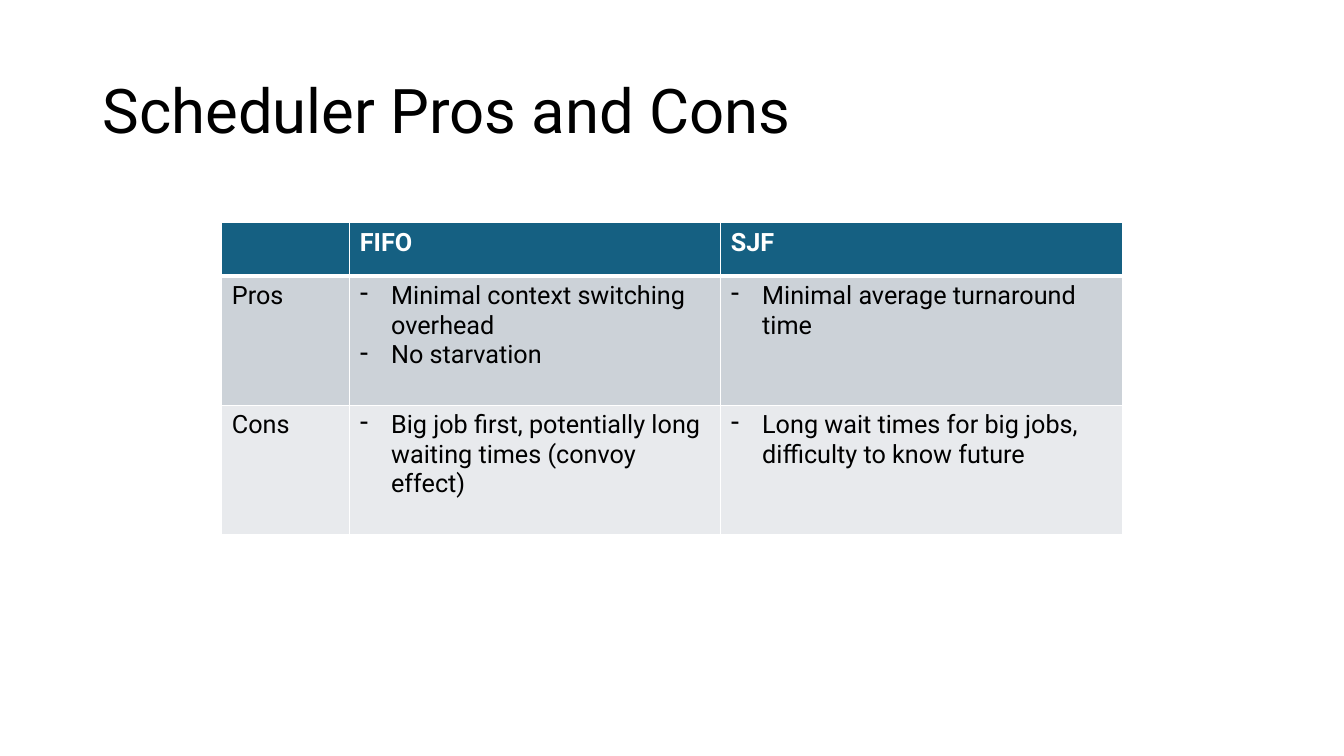
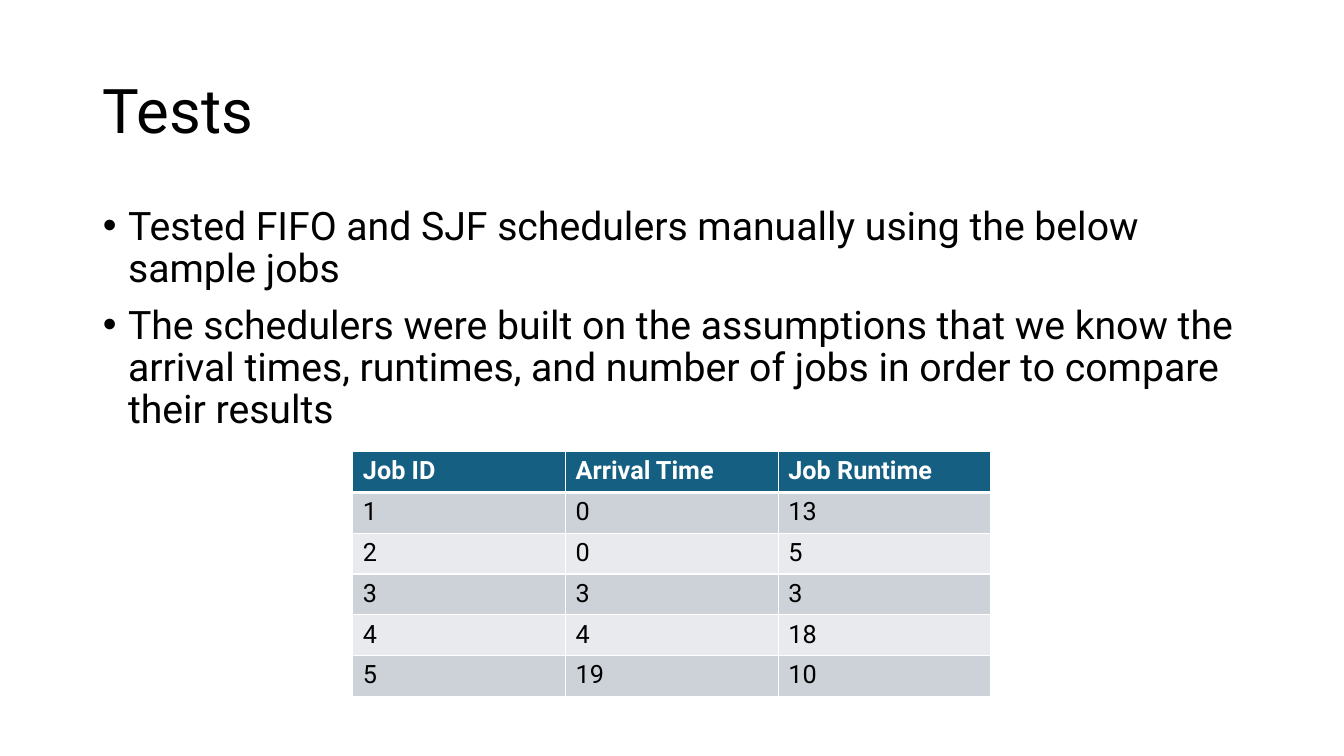
from dataclasses import dataclass

from lxml import etree
from pptx import Presentation
from pptx.dml.color import RGBColor
from pptx.enum.text import MSO_ANCHOR, MSO_AUTO_SIZE, PP_ALIGN
from pptx.oxml.ns import qn
from pptx.util import Inches, Pt

LEFT = PP_ALIGN.LEFT
TOP, MIDDLE = MSO_ANCHOR.TOP, MSO_ANCHOR.MIDDLE
NO_AUTOFIT = MSO_AUTO_SIZE.NONE

WHITE = RGBColor(0xFF, 0xFF, 0xFF)
BLACK = RGBColor(0x00, 0x00, 0x00)
HEADER_TEAL = RGBColor(0x15, 0x60, 0x82)
BANDS = (RGBColor(0xCC, 0xD2, 0xD8), RGBColor(0xE8, 0xEA, 0xED))

FONT = "Roboto"
CONTENT_LAYOUT, TITLE_LAYOUT = 1, 5
MARGIN, CONTENT_WIDTH = 0.92, 11.5
THIN, THICK = 1, 3


@dataclass(frozen=True)
class Bullets:
    items: tuple[str, ...]


@dataclass(frozen=True)
class Grid:
    left: float
    top: float
    columns: tuple[float, ...]
    row_heights: tuple[float, ...]
    rows: tuple[tuple[str | Bullets, ...], ...]


PROS_AND_CONS = Grid(
    left=2.2,
    top=2.21,
    columns=(1.27, 3.68, 3.98),
    row_heights=(0.53, 1.28, 1.28),
    rows=(
        ("", "FIFO", "SJF"),
        (
            "Pros",
            Bullets(("Minimal context switching overhead", "No starvation")),
            Bullets(("Minimal average turnaround time",)),
        ),
        (
            "Cons",
            Bullets(("Big job first, potentially long waiting times (convoy effect)",)),
            Bullets(("Long wait times for big jobs, difficulty to know future",)),
        ),
    ),
)

SAMPLE_JOBS = Grid(
    left=3.5,
    top=4.48,
    columns=(2.11,) * 3,
    row_heights=(0.405,) * 6,
    rows=(
        ("Job ID", "Arrival Time", "Job Runtime"),
        ("1", "0", "13"),
        ("2", "0", "5"),
        ("3", "3", "3"),
        ("4", "4", "18"),
        ("5", "19", "10"),
    ),
)

TEST_NOTES = (
    "Tested FIFO and SJF schedulers manually using the below sample jobs",
    "The schedulers were built on the assumptions that we know the arrival times, "
    "runtimes, and number of jobs in order to compare their results",
)


def write_text(frame, lines: tuple[str, ...], *, size: float, color: RGBColor = BLACK,
               bold: bool = False, line_spacing: float = 1.0, space_before: float = 0,
               bullet: str = "", indent: float = 0) -> None:
    for index, line in enumerate(lines):
        paragraph = frame.paragraphs[0] if index == 0 else frame.add_paragraph()
        paragraph.alignment = LEFT
        paragraph.line_spacing = line_spacing
        paragraph.space_before = Pt(space_before)
        run = paragraph.add_run()
        run.text = line
        run.font.name = FONT
        run.font.size = Pt(size)
        run.font.bold = bold
        run.font.color.rgb = color
        if bullet:
            properties = paragraph._p.get_or_add_pPr()
            properties.set("marL", str(Inches(indent)))
            properties.set("indent", str(-Inches(indent)))
            etree.SubElement(properties, qn("a:buChar"), char=bullet)


def place_text(placeholder, top: float, height: float, anchor: MSO_ANCHOR) -> None:
    placeholder.left, placeholder.top = Inches(MARGIN), Inches(top)
    placeholder.width, placeholder.height = Inches(CONTENT_WIDTH), Inches(height)
    frame = placeholder.text_frame
    frame.word_wrap = True
    frame.auto_size = NO_AUTOFIT
    frame.vertical_anchor = anchor


def add_titled_slide(deck, layout: int, heading: str):
    slide = deck.slides.add_slide(deck.slide_layouts[layout])
    title = slide.shapes.title
    place_text(title, 0.4, 1.45, MIDDLE)
    write_text(title.text_frame, (heading,), size=44, line_spacing=0.9)
    return slide


def set_borders(cell, top: float, bottom: float) -> None:
    properties = cell._tc.get_or_add_tcPr()
    for side, points in (("L", THIN), ("R", THIN), ("T", top), ("B", bottom)):
        line = etree.SubElement(properties, qn(f"a:ln{side}"), w=str(Pt(points)))
        fill = etree.SubElement(line, qn("a:solidFill"))
        etree.SubElement(fill, qn("a:srgbClr"), val=str(WHITE))


def add_grid(slide, grid: Grid) -> None:
    table = slide.shapes.add_table(
        len(grid.rows), len(grid.columns), Inches(grid.left), Inches(grid.top),
        Inches(sum(grid.columns)), Inches(sum(grid.row_heights)),
    ).table
    for column, width in zip(table.columns, grid.columns):
        column.width = Inches(width)
    for row_index, (height, entries) in enumerate(zip(grid.row_heights, grid.rows)):
        table.rows[row_index].height = Inches(height)
        is_header = row_index == 0
        for column_index, entry in enumerate(entries):
            cell = table.cell(row_index, column_index)
            set_borders(cell, THICK if row_index == 1 else THIN, THICK if is_header else THIN)
            cell.fill.solid()
            cell.fill.fore_color.rgb = HEADER_TEAL if is_header else BANDS[(row_index - 1) % 2]
            if isinstance(entry, Bullets):
                write_text(cell.text_frame, entry.items, size=18, bullet="-", indent=0.31)
            elif entry:
                write_text(cell.text_frame, (entry,), size=18, bold=is_header,
                           color=WHITE if is_header else BLACK)


def main() -> None:
    deck = Presentation()
    deck.slide_width, deck.slide_height = Inches(13.33), Inches(7.5)

    comparison = add_titled_slide(deck, TITLE_LAYOUT, "Scheduler Pros and Cons")
    add_grid(comparison, PROS_AND_CONS)

    tests = add_titled_slide(deck, CONTENT_LAYOUT, "Tests")
    notes_body = tests.placeholders[1]
    place_text(notes_body, 2, 4.76, TOP)
    write_text(notes_body.text_frame, TEST_NOTES, size=28, line_spacing=0.9,
               space_before=10, bullet="•", indent=0.25)
    add_grid(tests, SAMPLE_JOBS)

    deck.save("out.pptx")


if __name__ == "__main__":
    main()
